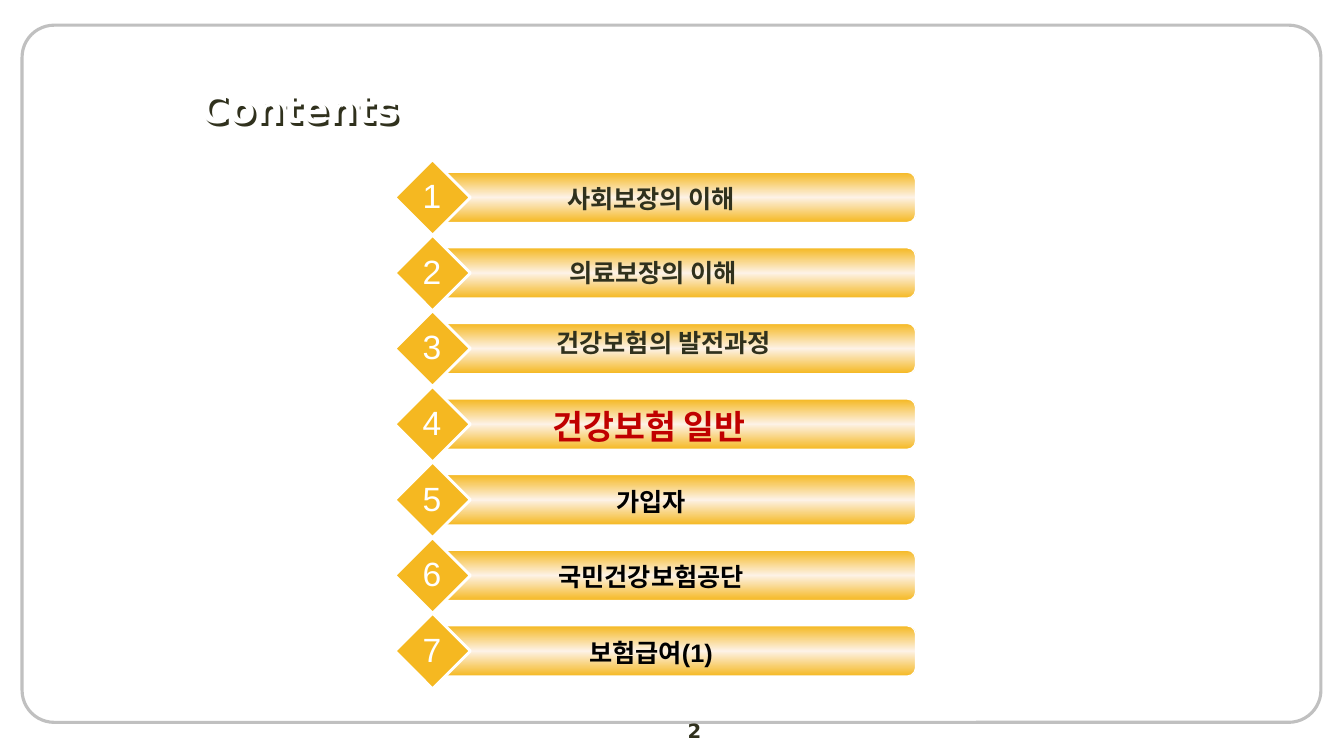
from dataclasses import dataclass
from copy import deepcopy

from lxml import etree
from pptx import Presentation
from pptx.dml.color import RGBColor
from pptx.enum import shapes, text
from pptx.oxml.ns import qn
from pptx.util import Emu, Pt

PX = 9525
ROW_PITCH = 72
FIRST_BAR_TOP = 164


@dataclass(frozen=True)
class Theme:
    gold: str = "F5B821"
    cream: str = "FDF2E6"
    white: str = "FFFFFF"
    frame: str = "C0C0C0"
    ink: str = "30311D"
    black: str = "000000"
    accent: str = "C00000"
    latin: str = "Arial"
    korean: str = "Noto Sans CJK KR"
    heading: str = "DejaVu Sans"
    title_size: int = 28
    large_size: int = 24
    label_size: int = 18
    page_size: int = 14


THEME = Theme()


@dataclass(frozen=True)
class Chapter:
    """One contents row; drop is the label's distance below the bar's top."""
    label: str
    color: str = THEME.black
    font: str = THEME.latin
    size: int = THEME.label_size
    left: int = 440
    drop: int = 6
    width: int = 360
    height: int = 38
    wrap: bool = True


CHAPTERS = [
    Chapter("사회보장의 이해", THEME.ink),
    Chapter("의료보장의 이해", THEME.ink, left=527, drop=4, width=190, wrap=False),
    Chapter("건강보험의 발전과정", THEME.ink, THEME.korean, left=452, drop=-1),
    Chapter("건강보험 일반", THEME.accent, THEME.korean, THEME.large_size,
            left=438, drop=2, height=48),
    Chapter("가입자"),
    Chapter("국민건강보험공단"),
    Chapter("보험급여(1)"),
]


def rgb(color):
    return RGBColor.from_string(color)


def px(*lengths):
    return [Emu(length * PX) for length in lengths]


def add_outlined(slide, preset, box, line_color, line_width):
    outlined = slide.shapes.add_shape(preset, *px(*box))
    outlined.shadow.inherit = False
    outlined.line.color.rgb = rgb(line_color)
    outlined.line.width = Pt(line_width)
    return outlined


def add_text(slide, box, words, size, color, font=THEME.latin, bold=False,
             align=text.PP_ALIGN.CENTER, wrap=True, anchor=text.MSO_ANCHOR.TOP):
    """Add a one-line text box and return it."""
    holder = slide.shapes.add_textbox(*px(*box))
    frame = holder.text_frame
    frame.text = words
    frame.word_wrap = wrap
    frame.vertical_anchor = anchor
    line = frame.paragraphs[0]
    line.alignment = align
    run = line.runs[0]
    run.font.size = Pt(size)
    run.font.bold = bold
    run.font.color.rgb = rgb(color)
    run.font.name = font
    east_asian = etree.SubElement(run.font._element, qn("a:ea"))
    east_asian.set("typeface", THEME.korean)
    return holder


def cast_text_shadow(holder, color):
    """Shadow an unfilled text box, so that its letters cast the shadow."""
    effects = etree.SubElement(holder._element.spPr, qn("a:effectLst"))
    shadow = etree.SubElement(effects, qn("a:outerShdw"),
                              dist="35921", dir="2700000", algn="ctr", rotWithShape="0")
    etree.SubElement(shadow, qn("a:srgbClr"), val=color)


def fill_with_sheen(bar):
    """Fade vertically from gold to cream and back to gold."""
    bar.fill.gradient()
    bar.fill.gradient_angle = 90
    stop_list = bar._element.spPr.find(".//" + qn("a:gsLst"))
    stop_list.append(deepcopy(stop_list[-1]))
    sheen = [(0, THEME.gold), (0.5, THEME.cream), (1, THEME.gold)]
    for stop, (position, color) in zip(bar.fill.gradient_stops, sheen):
        stop.position = position
        stop.color.rgb = rgb(color)


def add_frame(slide):
    frame = add_outlined(slide, shapes.MSO_SHAPE.ROUNDED_RECTANGLE,
                         (21, 24, 1237, 664), THEME.frame, 2.25)
    frame.adjustments[0] = 0.046
    frame.fill.background()


def add_chapter(slide, number, chapter):
    top = FIRST_BAR_TOP + (number - 1) * ROW_PITCH
    bar = add_outlined(slide, shapes.MSO_SHAPE.ROUNDED_RECTANGLE,
                       (416, top, 456, 48), THEME.white, 1)
    fill_with_sheen(bar)
    diamond = add_outlined(slide, shapes.MSO_SHAPE.DIAMOND,
                           (376, top - 12, 72, 72), THEME.white, 2)
    diamond.fill.solid()
    diamond.fill.fore_color.rgb = rgb(THEME.gold)
    add_text(slide, (chapter.left, top + chapter.drop, chapter.width, chapter.height),
             chapter.label, chapter.size, chapter.color, chapter.font,
             bold=True, wrap=chapter.wrap)
    add_text(slide, (393, top - 2, 37, 48), str(number),
             THEME.large_size, THEME.white, wrap=False)


def main():
    deck = Presentation()
    deck.slide_width, deck.slide_height = px(1280, 720)
    slide = deck.slides.add_slide(deck.slide_layouts[6])
    add_frame(slide)
    add_text(slide, (512, 680, 299, 26), "2", THEME.page_size, THEME.ink,
             THEME.heading, bold=True)
    title = add_text(slide, (181, 75, 1024, 56), "Contents", THEME.title_size,
                     THEME.white, THEME.heading, bold=True,
                     align=text.PP_ALIGN.LEFT, anchor=text.MSO_ANCHOR.MIDDLE)
    cast_text_shadow(title, THEME.ink)
    for number, chapter in enumerate(CHAPTERS, 1):
        add_chapter(slide, number, chapter)
    deck.save("out.pptx")


if __name__ == "__main__":
    main()
